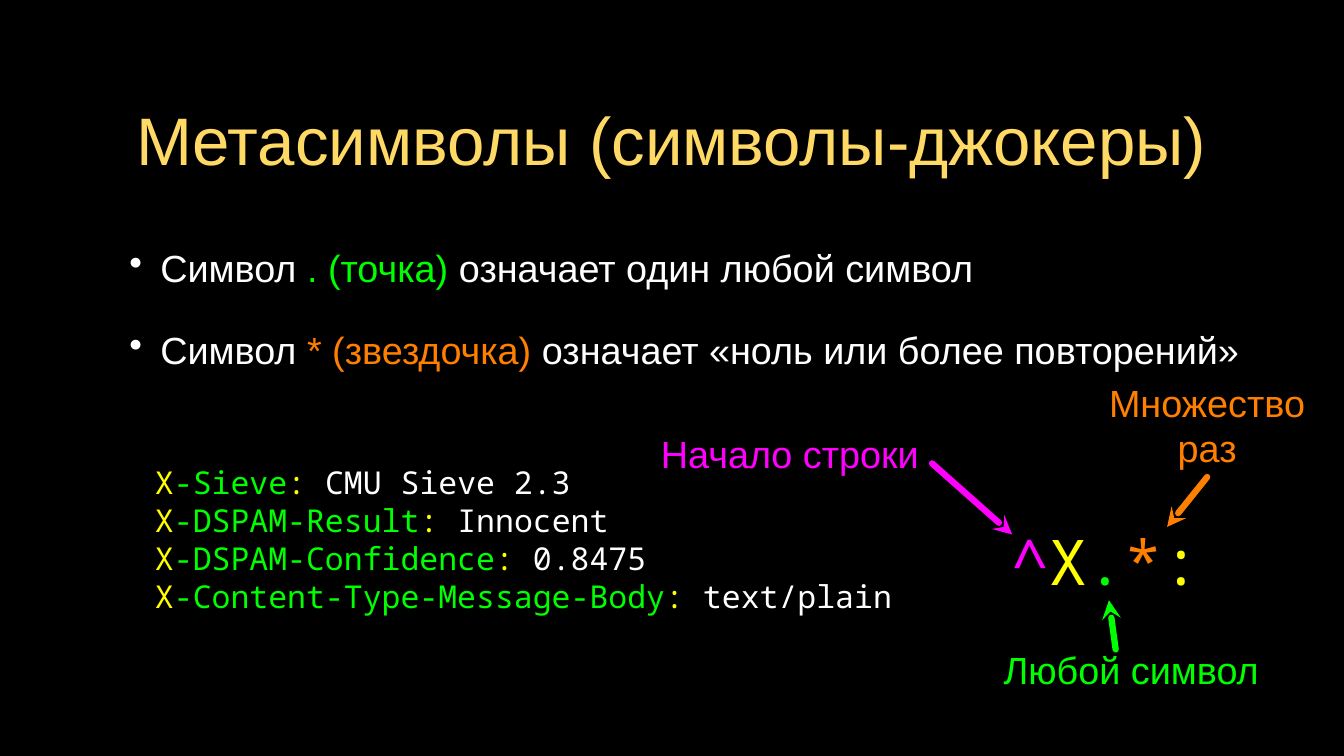
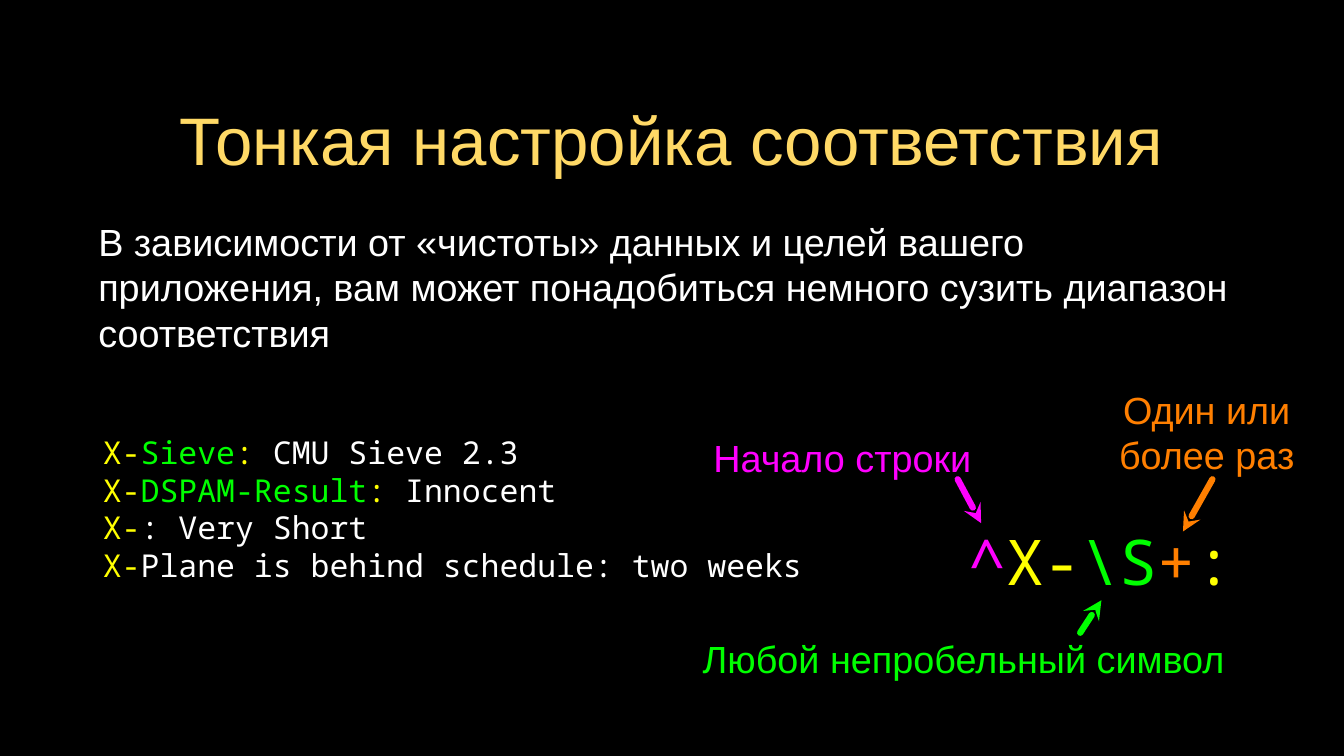
from lxml.etree import SubElement
from pptx import Presentation
from pptx.dml.color import RGBColor
from pptx.enum.shapes import MSO_CONNECTOR
from pptx.enum.text import MSO_ANCHOR, PP_ALIGN
from pptx.oxml.ns import qn
from pptx.util import Inches, Pt

WIDTH, HEIGHT = Inches(17.78), Inches(10)
SANS, MONO = "Arial", "Noto Sans Mono"
BLACK, WHITE, GOLD = "000000", "FFFFFF", "FFD966"
YELLOW, GREEN, ORANGE, PINK = "FFFF00", "00FF00", "FF7F00", "FF00FF"
TITLE, BODY, CODE, REGEX = 64, 36, 30, 60
LEADING = 1.2
PAD = Inches(0.04)


def rgb(color):
    return RGBColor.from_string(color)


def across(share):
    return round(WIDTH * share / 100)


def down(share):
    return round(HEIGHT * share / 100)


def bullet(par):
    props = par._p.get_or_add_pPr()
    props.set("marL", str(Inches(0.82)))
    props.set("indent", str(Inches(-0.41)))
    tint = SubElement(props, qn("a:buClr"))
    SubElement(tint, qn("a:srgbClr"), val=WHITE)
    SubElement(props, qn("a:buChar"), char="•")


def write(slide, area, lines, size, font=SANS, center=False, pad=0,
          anchor=MSO_ANCHOR.MIDDLE, leading=LEADING, bullets=False, gap=0):
    """Fill a box, placed in percent of the slide, with lines of (text, color) runs."""
    x, y, w, h = area
    box = slide.shapes.add_textbox(across(x), down(y), across(w), down(h))
    frame = box.text_frame
    frame.word_wrap = True
    frame.vertical_anchor = anchor
    frame.margin_left = frame.margin_right = pad
    frame.margin_top = frame.margin_bottom = pad
    for i, runs in enumerate(lines):
        par = frame.add_paragraph() if i else frame.paragraphs[0]
        par.alignment = PP_ALIGN.CENTER if center else PP_ALIGN.LEFT
        if leading:
            par.line_spacing = Pt(size * leading)
        if i and gap:
            par.space_before = Pt(gap)
        if bullets:
            bullet(par)
        par.font.name, par.font.size = font, Pt(size)
        for text, color in runs:
            run = par.add_run()
            run.text = text
            run.font.color.rgb = rgb(color)


def arrow(slide, tip, tail, color):
    line = slide.shapes.add_connector(
        MSO_CONNECTOR.STRAIGHT, across(tip[0]), down(tip[1]),
        across(tail[0]), down(tail[1]))
    line.line.width = Pt(6)
    line.line.color.rgb = rgb(color)
    stroke = line.line._ln
    stroke.set("cap", "rnd")
    SubElement(stroke, qn("a:round"))
    SubElement(stroke, qn("a:headEnd"), type="stealth")
    SubElement(line._element.spPr, qn("a:effectLst"))


def note(slide, text, color, area, tip, tail):
    """Label one part of the pattern and point an arrow at it."""
    write(slide, area, [[(text, color)]], BODY, center=True)
    arrow(slide, tip, tail, color)


def code(slide, area, lines):
    write(slide, area, lines, CODE, MONO)


def regex(slide, area, parts):
    write(slide, area, [parts], REGEX, MONO, center=True, leading=None)


def page(deck, title):
    slide = deck.slides.add_slide(deck.slide_layouts[6])
    fill = slide.background.fill
    fill.solid()
    fill.fore_color.rgb = rgb(BLACK)
    write(slide, (7.09, 8.9, 85.71, 18.9), [[(title, GOLD)]], TITLE,
          center=True, pad=PAD)
    return slide


def header(start, name, value):
    """Color a mail header whose name matches the pattern."""
    return [(start, YELLOW), (name, GREEN), (": ", YELLOW), (value, WHITE)]


def jokers(deck):
    slide = page(deck, "Метасимволы (символы-джокеры)")
    rules = [
        [("Символ ", WHITE), (". (точка) ", GREEN),
         ("означает один любой символ", WHITE)],
        [("Символ ", WHITE), ("* (звездочка)", ORANGE),
         (" означает «ноль или более повторений»", WHITE)],
    ]
    write(slide, (7.09, 28.5, 85.71, 24.7), rules, BODY, pad=PAD,
          bullets=True, gap=35)
    code(slide, (11.53, 59.2, 58.49, 24.2), [
        header("X", "-Sieve", "CMU Sieve 2.3"),
        header("X", "-DSPAM-Result", "Innocent"),
        header("X", "-DSPAM-Confidence", "0.8475"),
        header("X", "-Content-Type-Message-Body", "text/plain"),
    ])
    regex(slide, (72.83, 68.7, 18.9, 10.7), [
        ("^", PINK), ("X", YELLOW), (".", GREEN), ("*", ORANGE), (":", YELLOW)])
    note(slide, "Начало строки", PINK, (45.22, 56.6, 27.11, 6.8),
         (75.31, 70.7), (69.35, 61.3))
    note(slide, "Любой символ", GREEN, (69.35, 85.1, 29.64, 6.8),
         (82.51, 79.4), (83.01, 85.9))
    note(slide, "Множество раз", ORANGE, (82.28, 49.3, 15.07, 13.8),
         (86.84, 69.7), (89.82, 63.1))


def tuning(deck):
    slide = page(deck, "Тонкая настройка соответствия")
    intro = ("В зависимости от «чистоты» данных и целей вашего приложения, "
             "вам может понадобиться немного сузить диапазон соответствия")
    write(slide, (7.09, 28.5, 85.71, 17.1), [[(intro, WHITE)]], BODY,
          pad=PAD, anchor=MSO_ANCHOR.TOP)
    code(slide, (7.65, 50.9, 53.99, 32.7), [
        header("X-", "Sieve", "CMU Sieve 2.3"),
        header("X-", "DSPAM-Result", "Innocent"),
        [("X-", YELLOW), (": Very Short", WHITE)],
        [("X-", YELLOW), ("Plane is behind schedule: two weeks", WHITE)],
    ])
    regex(slide, (71.88, 68.8, 20.02, 10.7), [
        ("^", PINK), ("X-", YELLOW), ("\\S", GREEN), ("+", ORANGE), (":", YELLOW)])
    note(slide, "Начало строки", PINK, (50.73, 54, 23.9, 13.1),
         (73, 69.2), (71.26, 63.4))
    note(slide, "Любой непробельный символ", GREEN, (46.29, 83.7, 50.84, 6.8),
         (81.95, 79.4), (80.37, 83.7))
    note(slide, "Один или более раз", ORANGE, (80.37, 50.9, 18.84, 12.5),
         (88.02, 70.3), (90.21, 63.4))


def main():
    deck = Presentation()
    deck.slide_width, deck.slide_height = WIDTH, HEIGHT
    jokers(deck)
    tuning(deck)
    deck.save("out.pptx")


if __name__ == "__main__":
    main()
